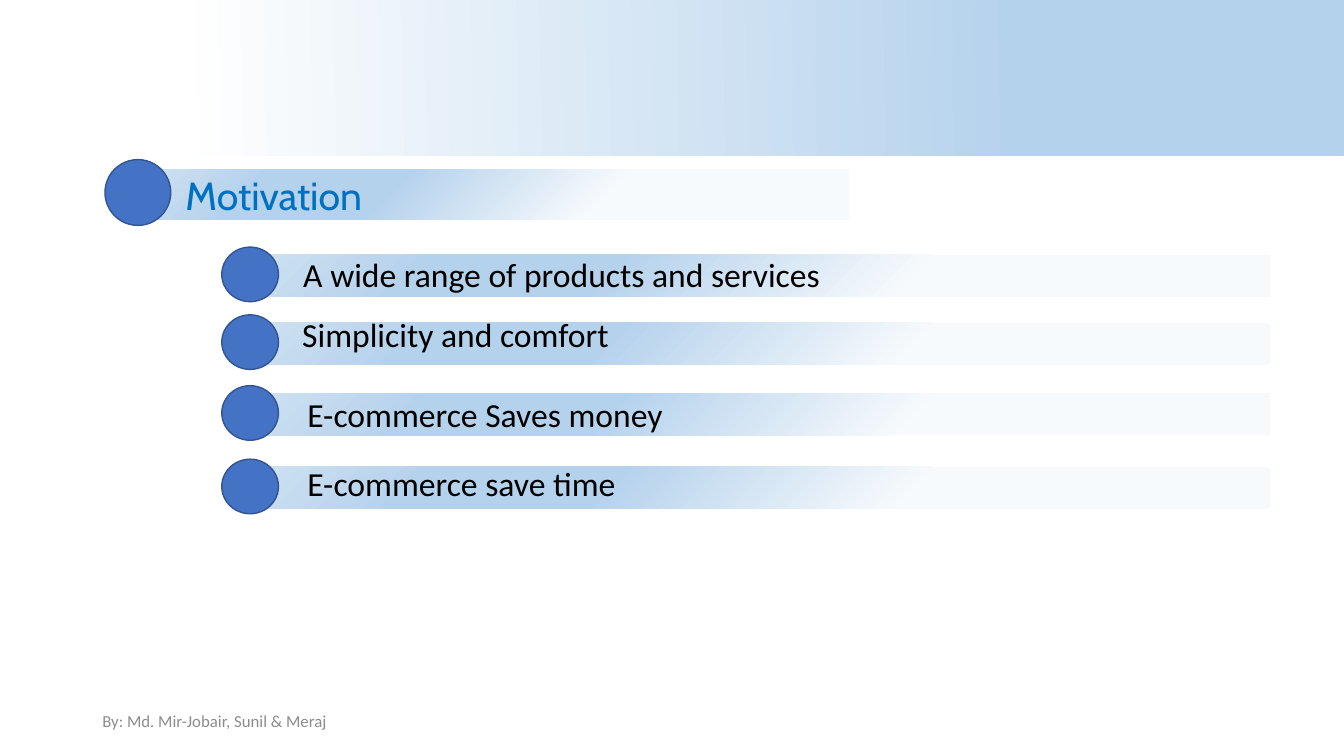
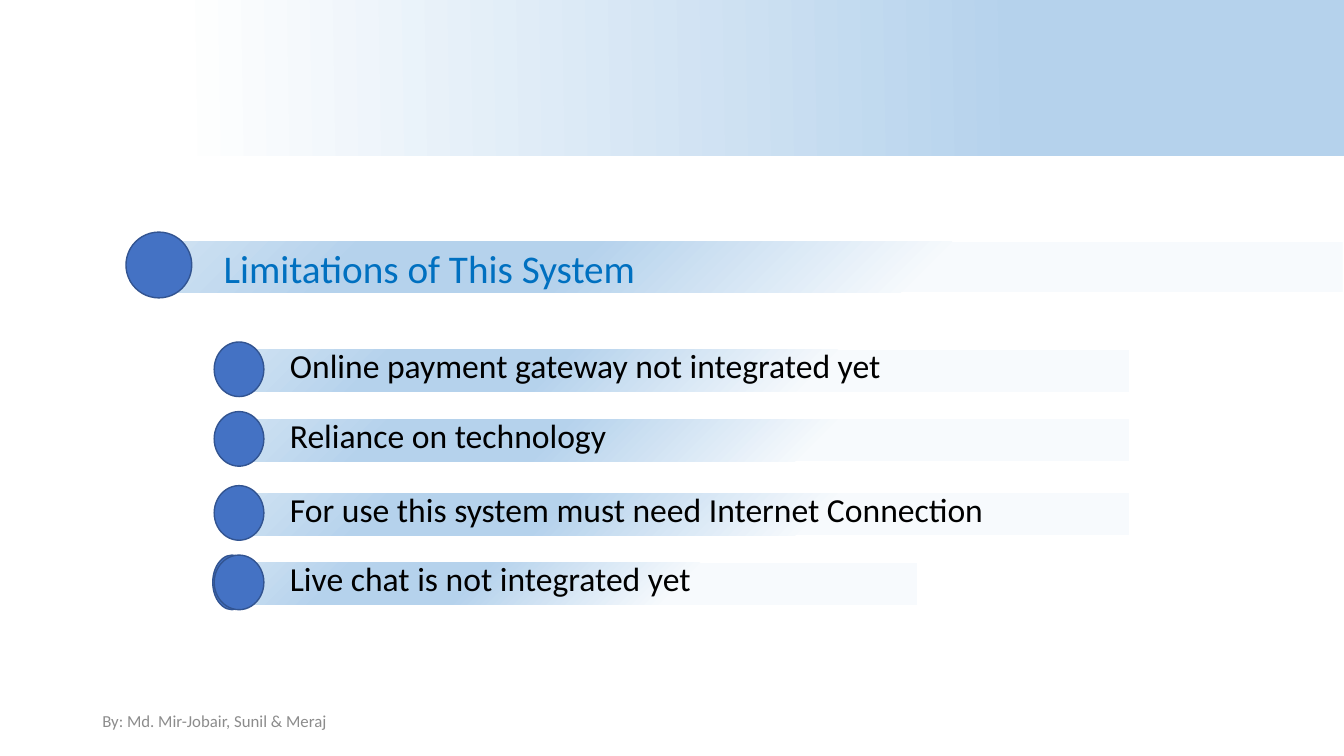
from lxml.etree import SubElement
from pptx import Presentation
from pptx.dml.color import RGBColor
from pptx.enum.shapes import MSO_SHAPE
from pptx.enum.text import MSO_ANCHOR, MSO_AUTO_SIZE, PP_ALIGN
from pptx.oxml.ns import qn
from pptx.util import Pt

# Shared look
WHITE = RGBColor(0xFF, 0xFF, 0xFF)
PALE = RGBColor(0xF7, 0xFA, 0xFD)
SKY = RGBColor(0xB5, 0xD2, 0xEC)
MIST = RGBColor(0xCE, 0xE1, 0xF2)
DOT_FILL = RGBColor(0x44, 0x72, 0xC4)
DOT_LINE = RGBColor(0x32, 0x54, 0x91)
TITLE_BLUE = RGBColor(0x00, 0x70, 0xC0)
BLACK = RGBColor(0, 0, 0)
GREY = RGBColor(0x8C, 0x8C, 0x8C)
BODY_FONT = "Calibri"
BAND_STOPS = [(13, WHITE), (76, SKY), (100, SKY), (100, MIST)]
BAR_STOPS = [(35, PALE), (65, SKY), (83, SKY), (100, MIST)]
FOOTER = "By: Md. Mir-Jobair, Sunil & Meraj"
SLIDE_W, SLIDE_H = 960, 540
TITLE_BAR_H, TITLE_DOT = 36, 47
BAR_H, DOT_H = 30, 39


def add_gradient_rect(slide, x, y, w, h, stops, angle, rotation=0):
    sp = slide.shapes.add_shape(MSO_SHAPE.RECTANGLE, Pt(x), Pt(y), Pt(w), Pt(h))
    sp.shadow.inherit = False
    sp.rotation = rotation
    sp.line.fill.background()
    sp.fill.gradient()
    sp.fill.gradient_angle = angle
    # The public API cannot add stops, so the list is rebuilt
    stop_list = sp.element.spPr.find(qn("a:gradFill")).find(qn("a:gsLst"))
    for stop in list(stop_list):
        stop_list.remove(stop)
    for percent, color in stops:
        stop = SubElement(stop_list, qn("a:gs"), pos=str(percent * 1000))
        SubElement(stop, qn("a:srgbClr"), val=str(color))


def add_bar(slide, x, y, w, h):
    add_gradient_rect(slide, x, y, w, h, BAR_STOPS, 315, rotation=180)


def add_dot(slide, x, y, w, h):
    sp = slide.shapes.add_shape(MSO_SHAPE.OVAL, Pt(x), Pt(y), Pt(w), Pt(h))
    sp.shadow.inherit = False
    sp.fill.solid()
    sp.fill.fore_color.rgb = DOT_FILL
    sp.line.color.rgb = DOT_LINE
    sp.line.width = Pt(1)


def write_text(sp, text, size, color, font=BODY_FONT, anchor=MSO_ANCHOR.TOP):
    tf = sp.text_frame
    tf.word_wrap = True
    tf.auto_size = MSO_AUTO_SIZE.NONE
    tf.vertical_anchor = anchor
    p = tf.paragraphs[0]
    p.alignment = PP_ALIGN.LEFT
    r = p.add_run()
    r.text = text
    r.font.size = Pt(size)
    r.font.name = font
    r.font.color.rgb = color


def add_text(slide, x, y, w, h, *args, **style):
    sp = slide.shapes.add_textbox(Pt(x), Pt(y), Pt(w), Pt(h))
    write_text(sp, *args, **style)


def add_title(slide, text, bar_x, bar_y, bar_w, dot_x, text_x, font=BODY_FONT):
    add_bar(slide, bar_x, bar_y, bar_w, TITLE_BAR_H)
    add_dot(slide, dot_x, bar_y - 7, TITLE_DOT, TITLE_DOT)
    title = slide.shapes.title
    title.left, title.top = Pt(text_x), Pt(bar_y - 2.2)
    title.width, title.height = Pt(bar_x + bar_w - text_x), Pt(41)
    write_text(title, text, 28, TITLE_BLUE, font)
    # Bring the title in front of its bar
    slide.shapes.element.append(title.element)


def add_item(slide, text, bar, dot, text_x, text_y):
    """Bar is x, y, width; dot is x, width."""
    bar_x, bar_y, bar_w = bar
    dot_x, dot_w = dot
    add_bar(slide, bar_x, bar_y, bar_w, BAR_H)
    add_dot(slide, dot_x, bar_y - 5.5, dot_w, DOT_H)
    add_text(slide, text_x, text_y, bar_x + bar_w - text_x, 36, text, 24, BLACK)


def new_slide(prs):
    slide = prs.slides.add_slide(prs.slide_layouts[5])
    add_gradient_rect(slide, 0, 0, SLIDE_W, 111, BAND_STOPS, 1)
    add_text(slide, 66, 500.4, 216, 28.8, FOOTER, 12, GREY, anchor=MSO_ANCHOR.MIDDLE)
    return slide


def build_motivation(prs):
    slide = new_slide(prs)
    add_title(slide, "Motivation", 103.7, 121, 502.6, 75, 125.3, font="Cabin")
    items = [
        ("A wide range of products and services", 182, 209.5, 177.8),
        ("Simplicity and comfort", 230.4, 208.8, 221),
        ("E-commerce Saves money", 281, 212.4, 278),
        ("E-commerce save time", 333.5, 212.4, 327),
    ]
    for text, bar_y, text_x, text_y in items:
        add_item(slide, text, (181.4, bar_y, 725.8), (158.4, 40.5), text_x, text_y)


def build_limitations(prs):
    slide = new_slide(prs)
    add_title(slide, "Limitations of This System", 116.6, 172.8, 842.4, 90, 152.6)
    add_dot(slide, 152, 396.5, 27.5, DOT_H)  # Sliver behind the last dot
    items = [
        ("Online payment gateway not integrated yet", 172.8, 249.8, 633.6),
        ("Reliance on technology", 172.8, 299.5, 633.6),
        ("For use this system must need Internet Connection", 172.8, 352.4, 633.6),
        ("Live chat is not integrated yet", 167.8, 402, 487.4),
    ]
    for text, *bar in items:
        add_item(slide, text, bar, (153, 35.5), 200, bar[1] - 7)


def main():
    prs = Presentation()
    prs.slide_width, prs.slide_height = Pt(SLIDE_W), Pt(SLIDE_H)
    build_motivation(prs)
    build_limitations(prs)
    prs.save("out.pptx")


if __name__ == "__main__":
    main()
